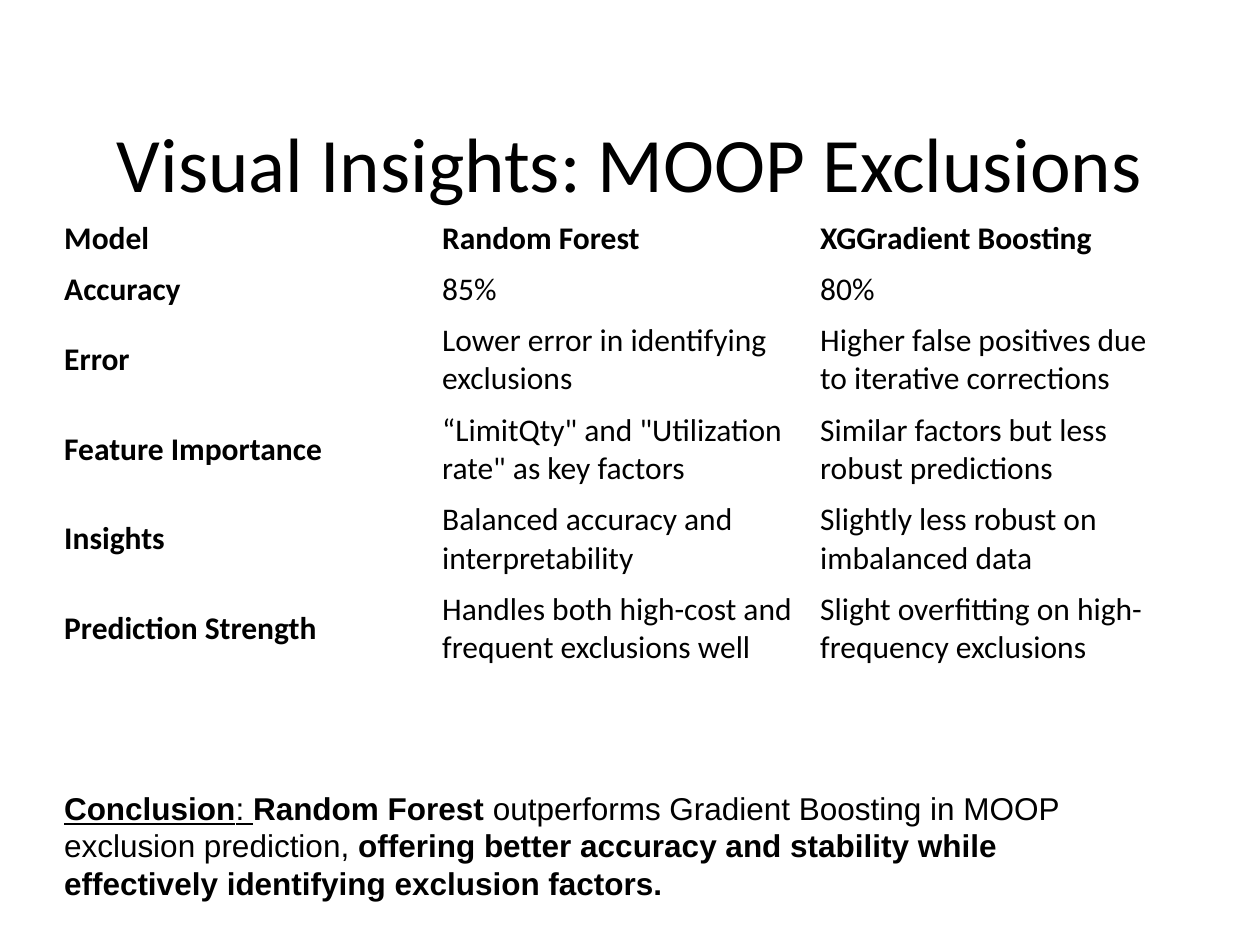
from pptx import Presentation
from pptx.dml.color import RGBColor
from pptx.enum.text import MSO_ANCHOR as Anchor, PP_ALIGN as Align
from pptx.util import Pt

BLACK = "000000"
LEFT = 29.5
TABLE_TOP = 121.7
COLUMN_WIDTH = 216
SINGLE_LINE, DOUBLE_LINE = 29.2, 51.2

COMPARISON = [
    ("Model", "Random Forest", "XGGradient Boosting"),
    ("Accuracy", "85%", "80%"),
    ("Error", "Lower error in identifying exclusions",
     "Higher false positives due to iterative corrections"),
    ("Feature Importance", "“LimitQty\" and \"Utilization rate\" as key factors",
     "Similar factors but less robust predictions"),
    ("Insights", "Balanced accuracy and interpretability",
     "Slightly less robust on imbalanced data"),
    ("Prediction Strength", "Handles both high-cost and frequent exclusions well",
     "Slight overfitting on high-frequency exclusions"),
]

CONCLUSION = [
    ("Conclusion", {"bold": True, "underline": True}),
    (": ", {"bold": False, "underline": True}),
    ("Random Forest ", {"bold": True}),
    ("outperforms Gradient Boosting in MOOP exclusion prediction, ", {"bold": False}),
    ("offering better accuracy and stability while effectively identifying "
     "exclusion factors.", {"bold": True}),
]


def set_color(font, hex_color):
    font.color.rgb = RGBColor.from_string(hex_color)


def add_words(paragraph, words, **formats):
    run = paragraph.add_run()
    run.text = words
    for name, value in formats.items():
        setattr(run.font, name, value)
    set_color(run.font, BLACK)


def add_title(slide, words):
    title = slide.shapes.title
    place = {"left": Pt(36), "top": Pt(47.5), "width": Pt(648), "height": Pt(90)}
    for name, value in place.items():
        setattr(title, name, value)
    title.text_frame.vertical_anchor = Anchor.MIDDLE
    heading = title.text_frame.paragraphs[0]
    heading.alignment = Align.CENTER
    add_words(heading, words, name="Calibri", size=Pt(44))


def add_comparison(slide, rows):
    # The first two rows hold one line each, the others two
    heights = [SINGLE_LINE] * 2 + [DOUBLE_LINE] * (len(rows) - 2)
    columns = len(rows[0])
    comparison = slide.shapes.add_table(
        len(rows), columns, Pt(LEFT), Pt(TABLE_TOP),
        Pt(COLUMN_WIDTH * columns), Pt(sum(heights))).table
    for flag in ("first_row", "horz_banding"):
        setattr(comparison, flag, False)
    for r, (entries, height) in enumerate(zip(rows, heights)):
        comparison.rows[r].height = Pt(height)
        for c, entry in enumerate(entries):
            cell = comparison.cell(r, c)
            cell.fill.background()
            cell.vertical_anchor = Anchor.MIDDLE
            add_words(cell.text_frame.paragraphs[0], entry,
                      name="Calibri", size=Pt(18), bold=r == 0 or c == 0)


def add_conclusion(slide, parts):
    conclusion = slide.shapes.add_textbox(Pt(LEFT), Pt(447.1), Pt(625.7), Pt(94.3))
    conclusion.text_frame.word_wrap = True
    for words, formats in parts:
        add_words(conclusion.text_frame.paragraphs[0], words,
                  name="Arial", size=Pt(18), **formats)


def main():
    deck = Presentation()
    deck.slide_width, deck.slide_height = Pt(720), Pt(540)
    slide = deck.slides.add_slide(deck.slide_layouts[5])  # Title only

    add_title(slide, "Visual Insights: MOOP Exclusions")
    add_comparison(slide, COMPARISON)
    add_conclusion(slide, CONCLUSION)

    deck.save("out.pptx")


if __name__ == "__main__":
    main()
